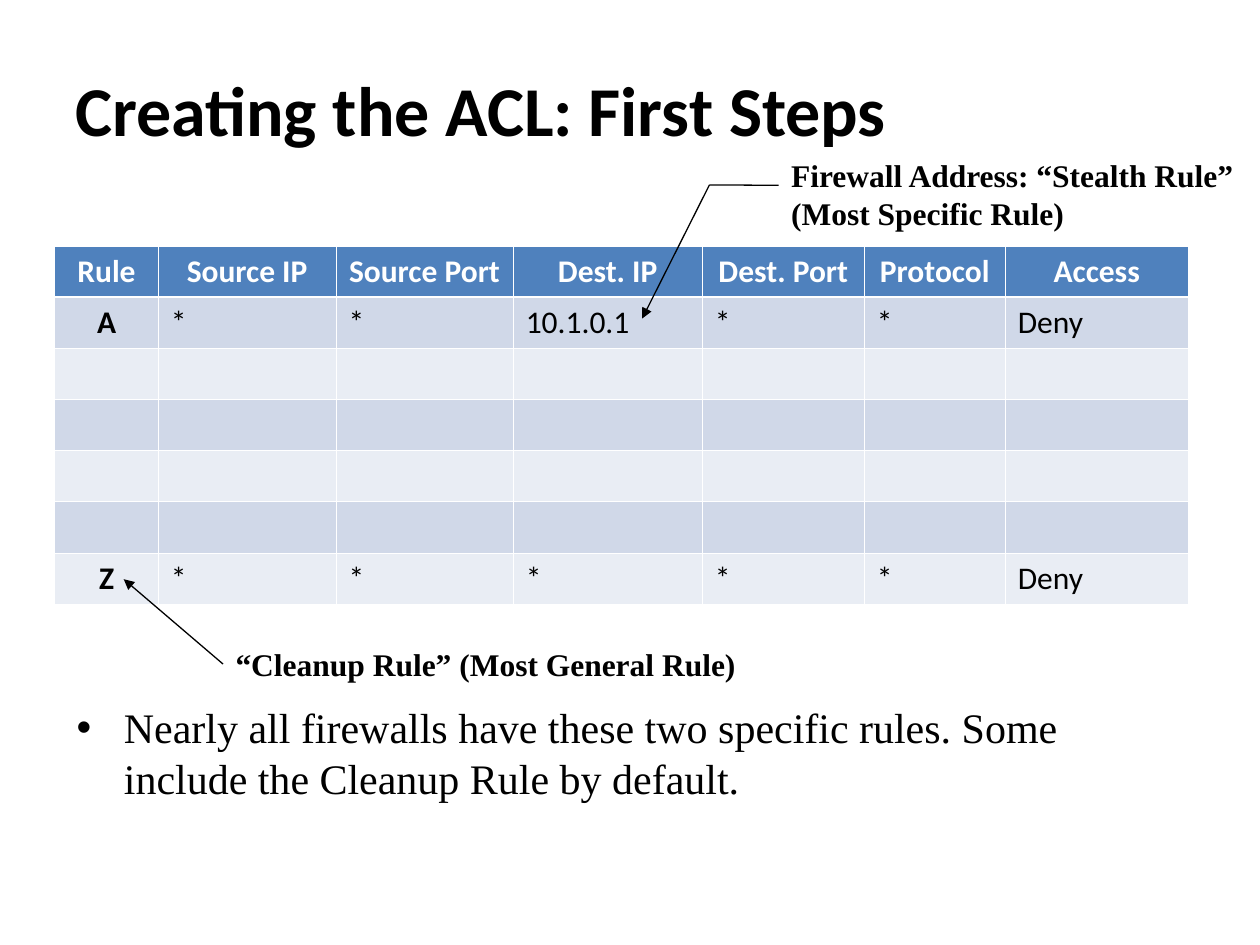
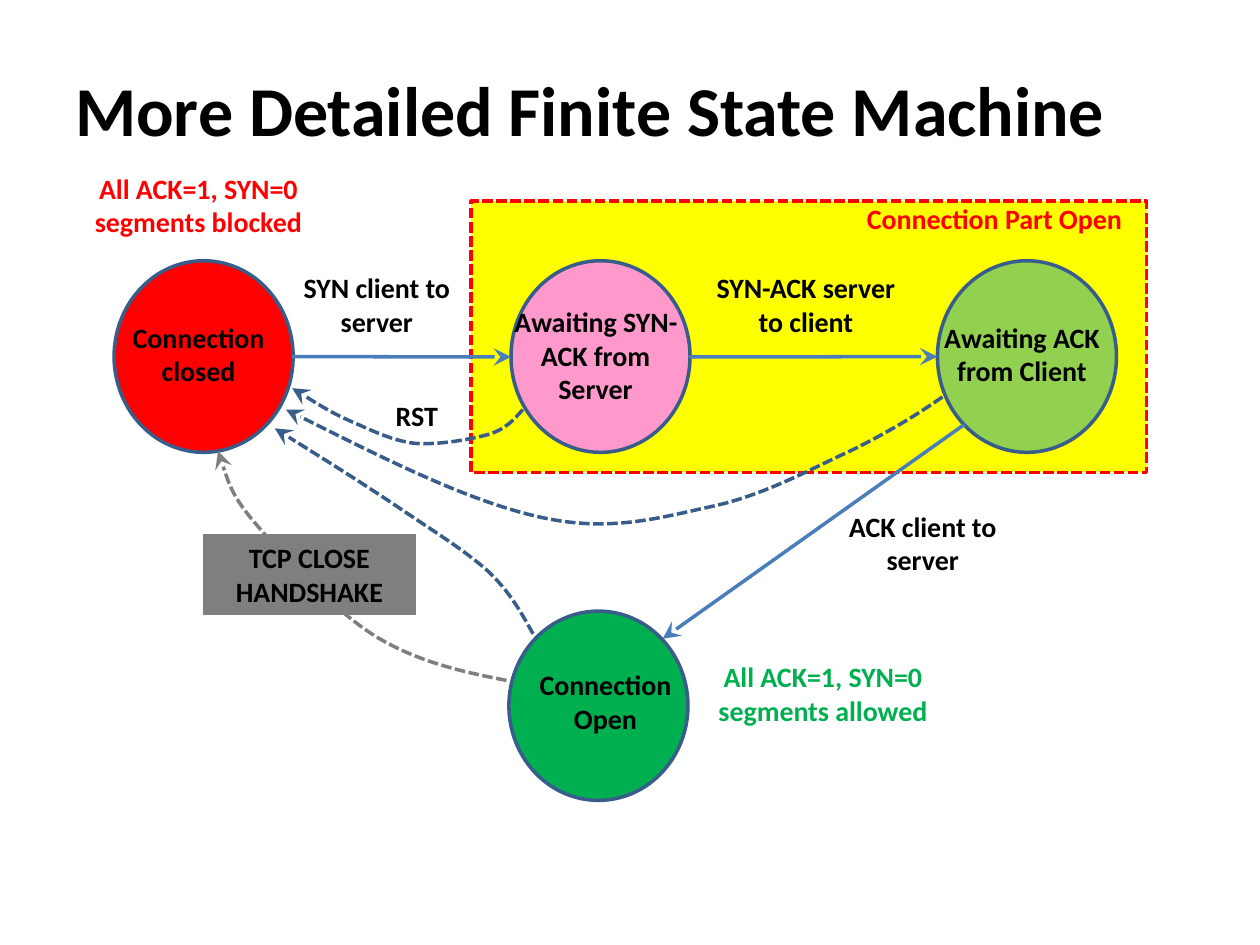
from lxml.etree import Element, SubElement
from pptx import Presentation
from pptx.dml.color import RGBColor
from pptx.enum.dml import MSO_LINE
from pptx.enum.shapes import MSO_CONNECTOR, MSO_SHAPE
from pptx.enum.text import MSO_ANCHOR, PP_ALIGN
from pptx.oxml.ns import qn
from pptx.util import Pt

BLACK = RGBColor(0x00, 0x00, 0x00)
WHITE = RGBColor(0xFF, 0xFF, 0xFF)
RED = RGBColor(0xFF, 0x00, 0x00)
YELLOW = RGBColor(0xFF, 0xFF, 0x00)
PINK = RGBColor(0xFF, 0x99, 0xCC)
LIME = RGBColor(0x92, 0xD0, 0x50)
GREEN = RGBColor(0x00, 0xB0, 0x50)
GREY = RGBColor(0x7F, 0x7F, 0x7F)
NAVY = RGBColor(0x38, 0x5D, 0x8A)
BLUE = RGBColor(0x4A, 0x7E, 0xBB)
HEAD = RGBColor(0x4F, 0x81, 0xBD)
BANDS = [RGBColor(0xD0, 0xD8, 0xE8), RGBColor(0xE9, 0xED, 0xF4)]
SANS, SERIF = "Calibri", "Times New Roman"

# Rule table: header, first rule, four empty rows, last rule
RULES = [
    ["Rule", "Source IP", "Source Port", "Dest. IP", "Dest. Port", "Protocol", "Access"],
    ["A", "*", "*", "10.1.0.1", "*", "*", "Deny"],
    *[[""] * 7 for _ in range(4)],
    ["Z", "*", "*", "*", "*", "*", "Deny"],
]
COLS = [59.2, 101.5, 101.3, 108, 92.7, 80.5, 104.6]
ROW = 29.25
THIN, THICK = 0.45, 1.47

# Notes: text, left, top, width, height
NOTES = [
    ("“Cleanup Rule” (Most General Rule)", 127.5, 365, 317.5, 29),
    ("Firewall Address: “Stealth Rule”\n(Most Specific Rule)", 445, 85.7, 275, 50.4),
]
POINT = "Nearly all firewalls have these two specific rules. Some include the Cleanup Rule by default."

# Pointers: from, to, arrowhead
LEADS = [
    ((127.5, 379.5), (70.7, 331), "triangle"),
    ((405.4, 105.7), (367, 182), "triangle"),
    ((405.4, 105.7), (445, 105.9), None),
]

# States: left, top, height, fill
STATES = [
    (65.2, 149, 109.5, RED),
    (292, 149, 109.5, PINK),
    (535.7, 149, 109.5, LIME),
    (290.8, 349.2, 108.2, GREEN),
]
WIDE = 102.3

# Labels: text, left, top, width, height, colour
LABELS = [
    ("Connection closed", 59.5, 179.5, 108, 46, BLACK),
    ("Awaiting SYN-ACK from Server", 286.3, 170.5, 108, 65, BLACK),
    ("Awaiting ACK from Client", 530, 179.5, 108, 46, BLACK),
    ("Connection Open", 292, 378, 108, 46, BLACK),
    ("ACK client to server", 473.3, 287.5, 108, 46, BLACK),
    ("SYN-ACK server to client", 396.8, 151, 127.5, 46, BLACK),
    ("SYN client to server", 161.4, 151, 108, 46, BLACK),
    ("Connection Part Open", 473.3, 111.5, 190, 27, RED),
    ("All ACK=1, SYN=0 segments blocked", 37.1, 94.3, 152.6, 46, RED),
    ("All ACK=1, SYN=0 segments allowed", 393.8, 373.3, 153, 46, GREEN),
    ("RST", 184.5, 224, 107.3, 27, BLACK),
]
STEPS = [
    ((167, 203.8), (292, 204)),
    ((394, 204), (535.7, 203.8)),
    ((551, 242.6), (378.7, 365)),
]

# Resets: colour, then a start point and the three points of each curve
RESETS = [
    (NAVY, [(298.8, 234), (293.8, 239.8), (288.7, 245.5), (278.6, 248.4),
            (267.8, 251.3), (250.6, 254.2), (237.6, 253.4),
            (224.6, 252), (213.1, 246.2), (201.6, 241.2),
            (190.1, 236.2), (178.6, 229), (167, 221.8)]),
    (NAVY, [(538.6, 226.8), (524.2, 236.9), (509, 246.2), (487.4, 257),
            (465.1, 267.1), (437, 283), (406.8, 289.4),
            (376.6, 295.9), (347.8, 304.6), (307.4, 295.2),
            (266.4, 285.8), (215.3, 259.9), (163.4, 234)]),
    (NAVY, [(304.6, 362.2), (298.1, 350.6), (291.6, 338.4), (278.6, 326.2),
            (265.7, 314.6), (247, 303.1), (226.8, 289.4),
            (206.6, 275.8), (182.2, 260.6), (157, 244.8)]),
    (GREY, [(289.4, 388.8), (263.5, 383.8), (238.3, 378), (214.6, 363.6),
            (191.5, 349.2), (162.7, 319), (147.6, 301),
            (132.5, 283.7), (128.9, 270.7), (124.6, 257.8)]),
]


def box(*rect):
    return [Pt(v) for v in rect]


def style(par, size, face, color=BLACK, bold=True, align=PP_ALIGN.LEFT):
    par.alignment = align
    font = par.font
    font.size, font.name, font.bold = Pt(size), face, bold
    font.color.rgb = color


def write(slide, text, rect, size, face, bullet=False, **look):
    frame = slide.shapes.add_textbox(*box(*rect)).text_frame
    frame.word_wrap = True
    frame.text = text
    for par in frame.paragraphs:
        if bullet:
            props = par._p.get_or_add_pPr()
            props.set("marL", str(Pt(27)))
            props.set("indent", str(-Pt(27)))
            SubElement(props, qn("a:buFont"), typeface="Arial")
            SubElement(props, qn("a:buChar"), char="•")
        style(par, size, face, **look)
    return frame


def start(deck, title):
    slide = deck.slides.add_slide(deck.slide_layouts[6])
    frame = write(slide, title, (36, 22.7, 648, 78.5), 40, SANS)
    frame.vertical_anchor = MSO_ANCHOR.MIDDLE
    return slide


def stroke(shape, color, width, tip=None, dash=False):
    line = shape.line
    line.color.rgb, line.width = color, Pt(width)
    if dash:
        line.dash_style = MSO_LINE.SQUARE_DOT
    if tip:
        size = "lg" if tip == "stealth" else "med"
        SubElement(shape.element.spPr.find(qn("a:ln")), qn("a:tailEnd"),
                   type=tip, w=size, len=size)


def link(slide, head, tail, color, width, tip):
    line = slide.shapes.add_connector(MSO_CONNECTOR.STRAIGHT, *box(*head, *tail))
    stroke(line, color, width, tip)
    SubElement(line.element.spPr, qn("a:effectLst"))


def block(slide, kind, rect, fill, edge, width=2, dash=False):
    shape = slide.shapes.add_shape(kind, *box(*rect))
    shape.shadow.inherit = False
    shape.fill.solid()
    shape.fill.fore_color.rgb = fill
    stroke(shape, edge, width, dash=dash)
    return shape


def curve(slide, color, pts):
    first, *rest = [box(*p) for p in pts]
    pen = slide.shapes.build_freeform(*first)
    pen.add_line_segments(rest, close=False)
    shape = pen.convert_to_shape()
    # Join each three points into one cubic curve
    legs = list(shape.element.iter(qn("a:lnTo")))
    for i in range(0, len(legs), 3):
        bend = Element(qn("a:cubicBezTo"))
        legs[i].addprevious(bend)
        for leg in legs[i:i + 3]:
            bend.append(leg[0])
            leg.getparent().remove(leg)
    shape.shadow.inherit = False
    shape.fill.background()
    stroke(shape, color, 2, "stealth", dash=True)


def edges(cell, top, base):
    props = cell._tc.get_or_add_tcPr()
    sides = [("lnL", THIN), ("lnR", THIN), ("lnT", top), ("lnB", base)]
    for i, (side, width) in enumerate(sides):
        line = Element(qn("a:" + side), w=str(Pt(width)))
        fill = SubElement(line, qn("a:solidFill"))
        SubElement(fill, qn("a:srgbClr"), val=str(WHITE))
        props.insert(i, line)


def grid(slide):
    rect = box(31.3, 140.6, sum(COLS), ROW * len(RULES))
    table = slide.shapes.add_table(len(RULES), len(COLS), *rect).table
    for col, width in zip(table.columns, COLS):
        col.width = Pt(width)
    for r, row in enumerate(RULES):
        table.rows[r].height = Pt(ROW)
        for c, text in enumerate(row):
            cell = table.cell(r, c)
            cell.fill.solid()
            cell.fill.fore_color.rgb = BANDS[(r - 1) % 2] if r else HEAD
            edges(cell, THICK if r == 1 else THIN, THIN if r else THICK)
            if not text:
                continue
            cell.text = text
            key = r == 0 or c == 0
            style(cell.text_frame.paragraphs[0], 18, SANS, BLACK if r else WHITE,
                  key, PP_ALIGN.CENTER if key else PP_ALIGN.LEFT)


def rules(deck):
    slide = start(deck, "Creating the ACL: First Steps")
    grid(slide)
    for text, *rect in NOTES:
        write(slide, text, rect, 18, SERIF)
    for head, tail, tip in LEADS:
        link(slide, head, tail, BLACK, 0.75, tip)
    write(slide, POINT, (36.7, 397.5, 648, 65), 24, SERIF, bullet=True, bold=False)


def states(deck):
    slide = start(deck, "More Detailed Finite State Machine")
    # Part-open zone and states
    block(slide, MSO_SHAPE.RECTANGLE, (269.2, 115, 386, 155), YELLOW, RED, dash=True)
    for left, top, high, fill in STATES:
        block(slide, MSO_SHAPE.OVAL, (left, top, WIDE, high), fill, NAVY)
    # Steps, labels and resets
    for head, tail in STEPS:
        link(slide, head, tail, BLUE, 2, "stealth")
    for text, *rect, color in LABELS:
        write(slide, text, rect, 16, SANS, color=color, align=PP_ALIGN.CENTER)
    for color, pts in RESETS:
        curve(slide, color, pts)
    # Closing handshake
    shape = block(slide, MSO_SHAPE.RECTANGLE, (116.3, 305.3, 121, 46), GREY, GREY, 0.75)
    shape.text_frame.text = "TCP CLOSE HANDSHAKE"
    style(shape.text_frame.paragraphs[0], 16, SANS, align=PP_ALIGN.CENTER)


def main():
    deck = Presentation()
    deck.slide_width, deck.slide_height = box(720, 540)
    rules(deck)
    states(deck)
    deck.save("out.pptx")


if __name__ == "__main__":
    main()
